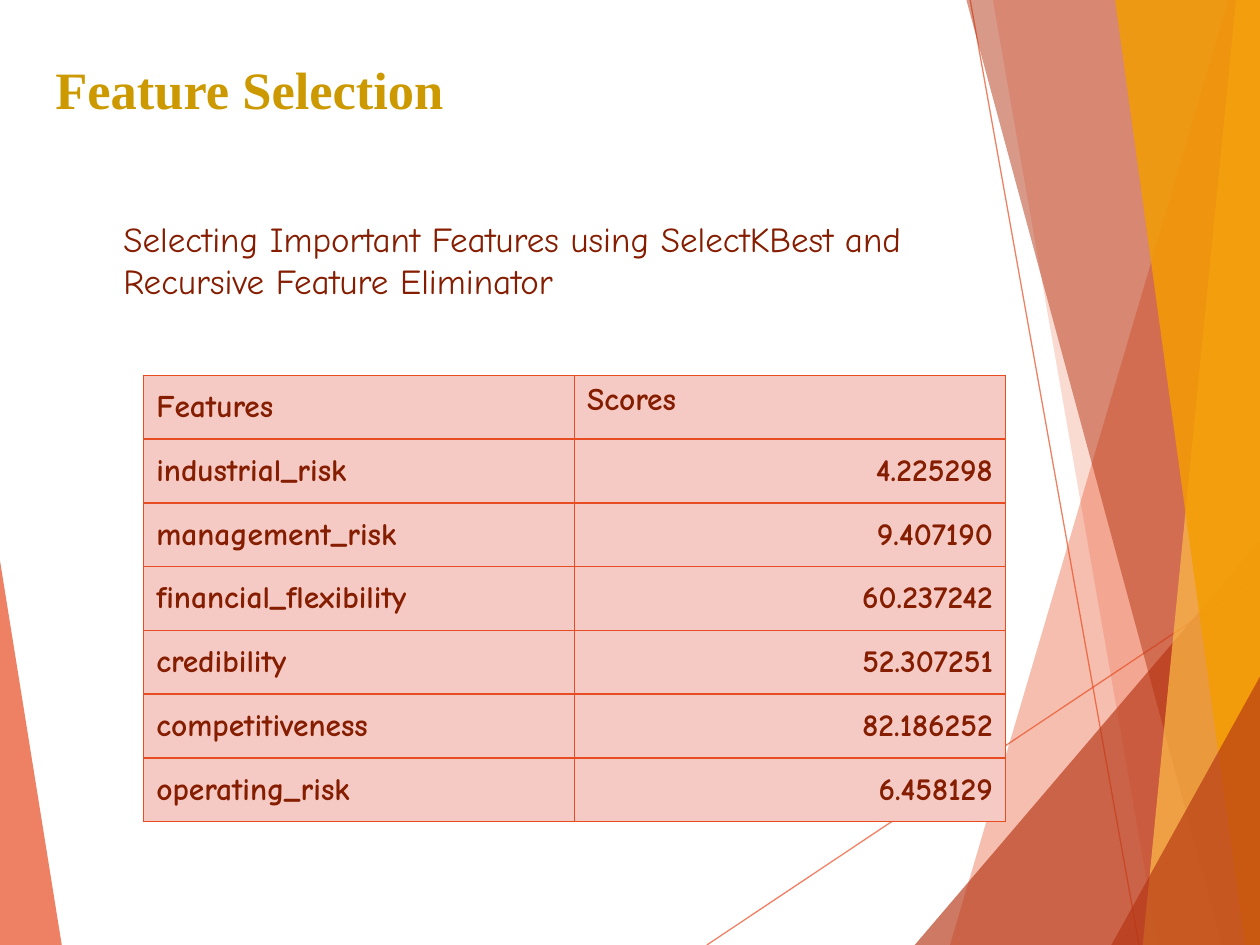
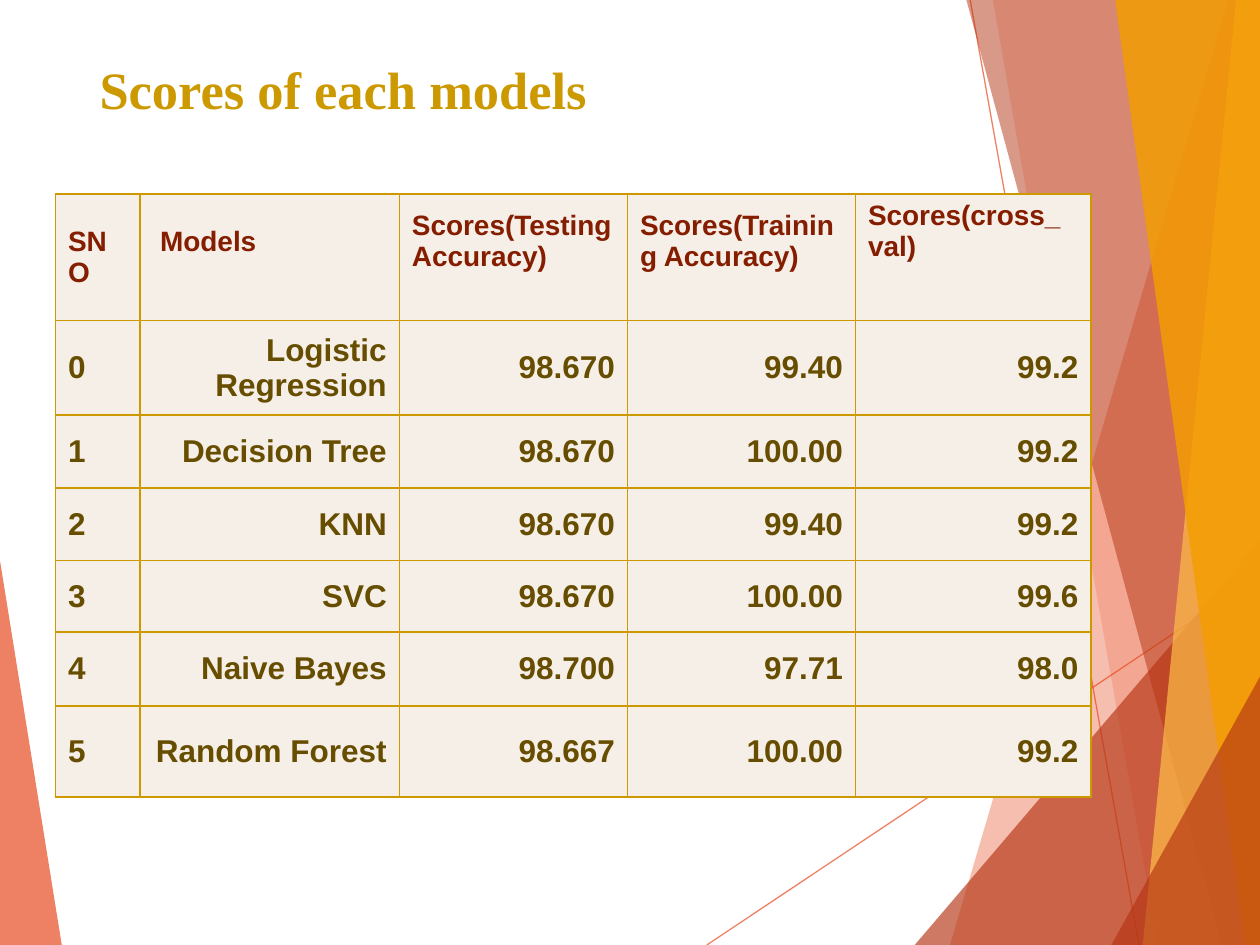
from dataclasses import dataclass

from lxml.etree import SubElement
from pptx import Presentation
from pptx.dml.color import RGBColor
from pptx.enum.shapes import MSO_CONNECTOR
from pptx.enum.text import MSO_ANCHOR as Anchor, MSO_AUTO_SIZE as AutoSize, PP_ALIGN as Align
from pptx.oxml.ns import qn
from pptx.util import Inches, Pt

COLORS = {
    "gold": "CC9900",
    "dark_gold": "664D00",
    "maroon": "851D00",
    "orange_red": "E84C22",
    "rust": "B53513",
    "apricot": "FFBD47",
    "amber": "F49D00",
    "pink": "F6CAC4",
    "cream": "F6EFE7",
}
COLUMNS, ROWS = 100, 75
CELL = Inches(0.1)
TITLE_ONLY = 5

RAYS = [
    ((56.1, 75), (100, 45.7)),
    ((77, 0), (90.4, 75)),
]
LEFT_WEDGE = ("orange_red", 70, [(0, 44.5), (4.9, 75), (0, 75)])
RIGHT_SHARDS = [
    ("orange_red", 36, [(97.5, 0), (75.4, 75), (100, 75), (100, 0)]),
    ("orange_red", 20, [(78.8, 0), (91.9, 75), (100, 75), (100, 0)]),
    ("rust", 66, [(72.6, 75), (100, 42.9), (100, 75)]),
    ("rust", 50, [(76.7, 0), (97, 75), (100, 75), (100, 0)]),
    ("apricot", 70, [(98.1, 0), (90.7, 75), (100, 75), (100, 0)]),
    ("amber", 82, [(88.5, 0), (98.8, 75), (100, 75), (100, 0)]),
    ("rust", 66, [(88.2, 75), (100, 53.7), (100, 75)]),
]

FEATURES = [
    ("Features", "Scores"),
    ("industrial_risk", "4.225298"),
    ("management_risk", "9.407190"),
    ("financial_flexibility", "60.237242"),
    ("credibility", "52.307251"),
    ("competitiveness", "82.186252"),
    ("operating_risk", "6.458129"),
]
MODELS = [
    ("SNO", " Models", "Scores(Testing Accuracy)", "Scores(Training Accuracy)", "Scores(cross_\nval)"),
    ("0", "Logistic Regression", "98.670", "99.40", "99.2"),
    ("1", "Decision Tree", "98.670", "100.00", "99.2"),
    ("2", "KNN", "98.670", "99.40", "99.2"),
    ("3", "SVC", "98.670", "100.00", "99.6"),
    ("4", "Naive Bayes", "98.700", "97.71", "98.0"),
    ("5", "Random Forest", "98.667", "100.00", "99.2"),
]


@dataclass
class Box:
    left: float
    top: float
    width: float
    height: float

    def frame(self):
        return [grid(value) for value in (self.left, self.top, self.width, self.height)]

    def point(self, column, row):
        return grid(self.left + column), grid(self.top + row)


def grid(cells):
    return round(cells * CELL)


def rgb(name):
    return RGBColor.from_string(COLORS[name])


def write(text_frame, text, font="Arial", size=18, color="maroon", bold=False, align=Align.LEFT):
    text_frame.word_wrap = True
    text_frame.text = text
    for paragraph in text_frame.paragraphs:
        paragraph.alignment = align
        for run in paragraph.runs:
            run.font.name = font
            run.font.size = Pt(size)
            run.font.bold = bold
            run.font.color.rgb = rgb(color)


def set_opacity(shape, percent):
    for color in shape.element.iter(qn("a:srgbClr")):
        SubElement(color, qn("a:alpha")).set("val", str(percent * 1000))


def add_ray(slide, box, start, end):
    ray = slide.shapes.add_connector(MSO_CONNECTOR.STRAIGHT, *box.point(*start), *box.point(*end))
    ray.line.color.rgb = rgb("orange_red")
    ray.line.width = Pt(0.75)
    SubElement(ray.element.spPr, qn("a:effectLst"))
    set_opacity(ray, 70)
    return ray


def add_shard(slide, box, color, opacity, corners):
    points = [box.point(*corner) for corner in corners]
    builder = slide.shapes.build_freeform(*points[0])
    builder.add_line_segments(points[1:], close=True)
    shard = builder.convert_to_shape()
    shard.shadow.inherit = False
    shard.line.fill.background()
    shard.fill.solid()
    shard.fill.fore_color.rgb = rgb(color)
    set_opacity(shard, opacity)
    return shard


def add_backdrop(slide, box):
    parts = [add_shard(slide, box, *LEFT_WEDGE)]
    parts += [add_ray(slide, box, *ray) for ray in RAYS]
    parts += [add_shard(slide, box, *shard) for shard in RIGHT_SHARDS]
    layout_tree = slide.slide_layout.shapes.element
    for number, part in enumerate(parts, start=100):
        next(part.element.iter(qn("p:cNvPr"))).set("id", str(number))
        layout_tree.append(part.element)


def set_title(slide, box, text):
    title = slide.shapes.title
    title.left, title.top, title.width, title.height = box.frame()
    write(title.text_frame, text, font="Times New Roman", size=30, color="gold", bold=True)
    title.text_frame.auto_size = AutoSize.NONE
    title.text_frame.vertical_anchor = Anchor.TOP


def add_borders(cell, color):
    properties = cell._tc.get_or_add_tcPr()
    for side in ("a:lnL", "a:lnR", "a:lnT", "a:lnB"):
        line = SubElement(properties, qn(side), w=str(Pt(1)))
        fill = SubElement(line, qn("a:solidFill"))
        SubElement(fill, qn("a:srgbClr"), val=COLORS[color])


def add_score_table(slide, box, records, widths, heights, fill, border, header, body):
    table = slide.shapes.add_table(len(records), len(widths), *box.frame()).table
    table.first_row = table.horz_banding = False
    for column, width in zip(table.columns, widths):
        column.width = grid(width)
    for row, height in zip(table.rows, heights):
        row.height = grid(height)
    last = len(widths) - 1
    for row_index, record in enumerate(records):
        for column_index, text in enumerate(record):
            cell = table.cell(row_index, column_index)
            is_header = row_index == 0
            align = Align.LEFT if is_header or column_index == 0 else Align.RIGHT
            write(cell.text_frame, text, bold=True, align=align, **(header if is_header else body))
            cell.vertical_anchor = Anchor.TOP if is_header and column_index == last else Anchor.MIDDLE
            add_borders(cell, border)
            cell.fill.solid()
            cell.fill.fore_color.rgb = rgb(fill)
    return table


def build_feature_slide(slide, box):
    set_title(slide, Box(box.left + 3.4, box.top + 4, 49.3, 8.4), "Feature Selection")
    label = {"font": "Comic Neue", "size": 18, "color": "maroon"}
    row_height = 5.06
    add_score_table(
        slide, Box(box.left + 11.4, box.top + 29.8, 68.4, row_height * len(FEATURES)), FEATURES,
        [34.2] * 2, [row_height] * len(FEATURES), "pink", "orange_red", label, label,
    )
    summary = slide.shapes.add_textbox(*Box(box.left + 8.8, box.top + 16.8, 70.2, 7.7).frame())
    write(
        summary.text_frame,
        "Selecting Important Features using SelectKBest and Recursive Feature Eliminator",
        font="Comic Neue", size=20,
    )


def build_model_slide(slide, box):
    set_title(slide, Box(box.left + 6.9, box.top + 4, 43.1, 7.8), "Scores of each models")
    widths = [6.7, 20.6, 18.1, 18.1, 18.7]
    heights = [10.05, 7.5, 5.8, 5.75, 5.65, 5.9, 7.2]
    table = add_score_table(
        slide, Box(box.left + 4.4, box.top + 15.4, sum(widths), sum(heights)), MODELS,
        widths, heights, "cream", "gold", {"size": 16}, {"color": "dark_gold"},
    )
    for column_index in (1, 2, 3):
        table.cell(0, column_index).margin_bottom = grid(3)


def main():
    presentation = Presentation()
    presentation.slide_width = grid(COLUMNS)
    presentation.slide_height = grid(ROWS)
    page = Box(0, 0, COLUMNS, ROWS)
    layout = presentation.slide_layouts[TITLE_ONLY]
    feature_slide, model_slide = [presentation.slides.add_slide(layout) for _ in range(2)]
    add_backdrop(feature_slide, page)
    build_feature_slide(feature_slide, page)
    build_model_slide(model_slide, page)
    presentation.save("out.pptx")


if __name__ == "__main__":
    main()
